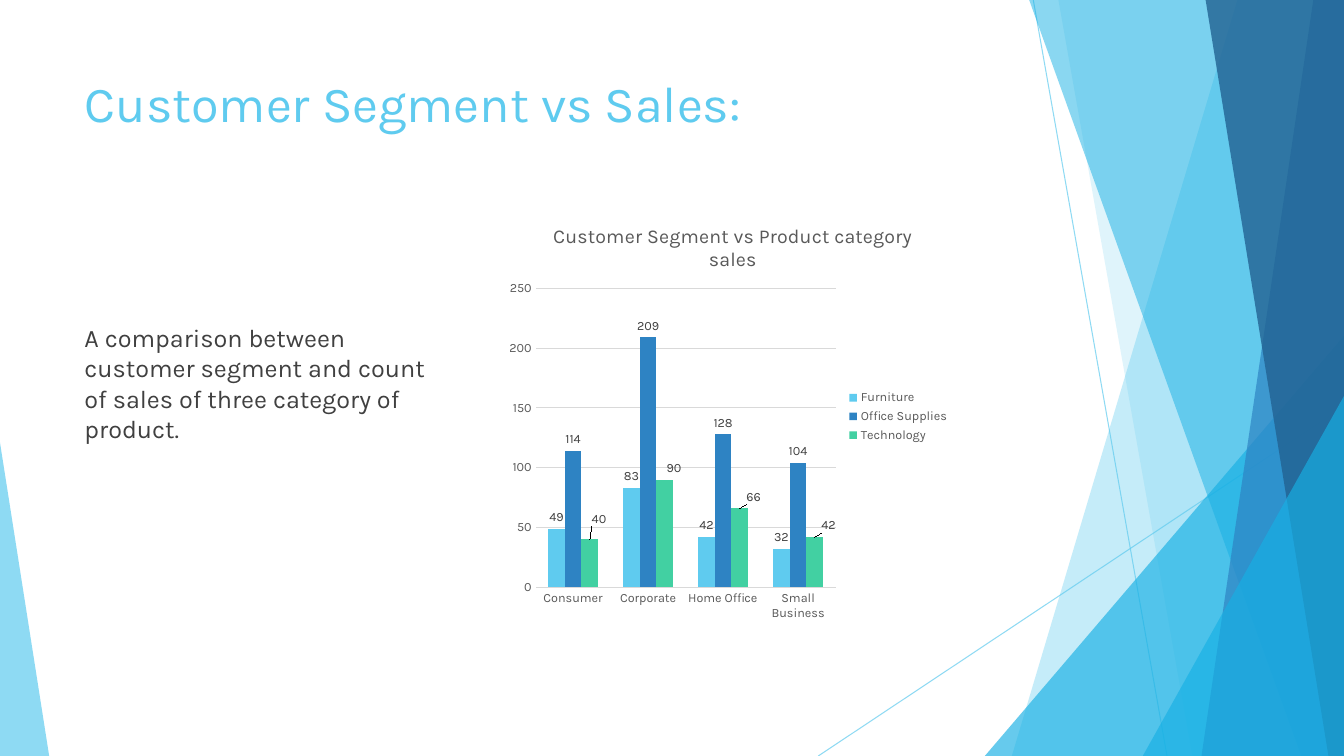
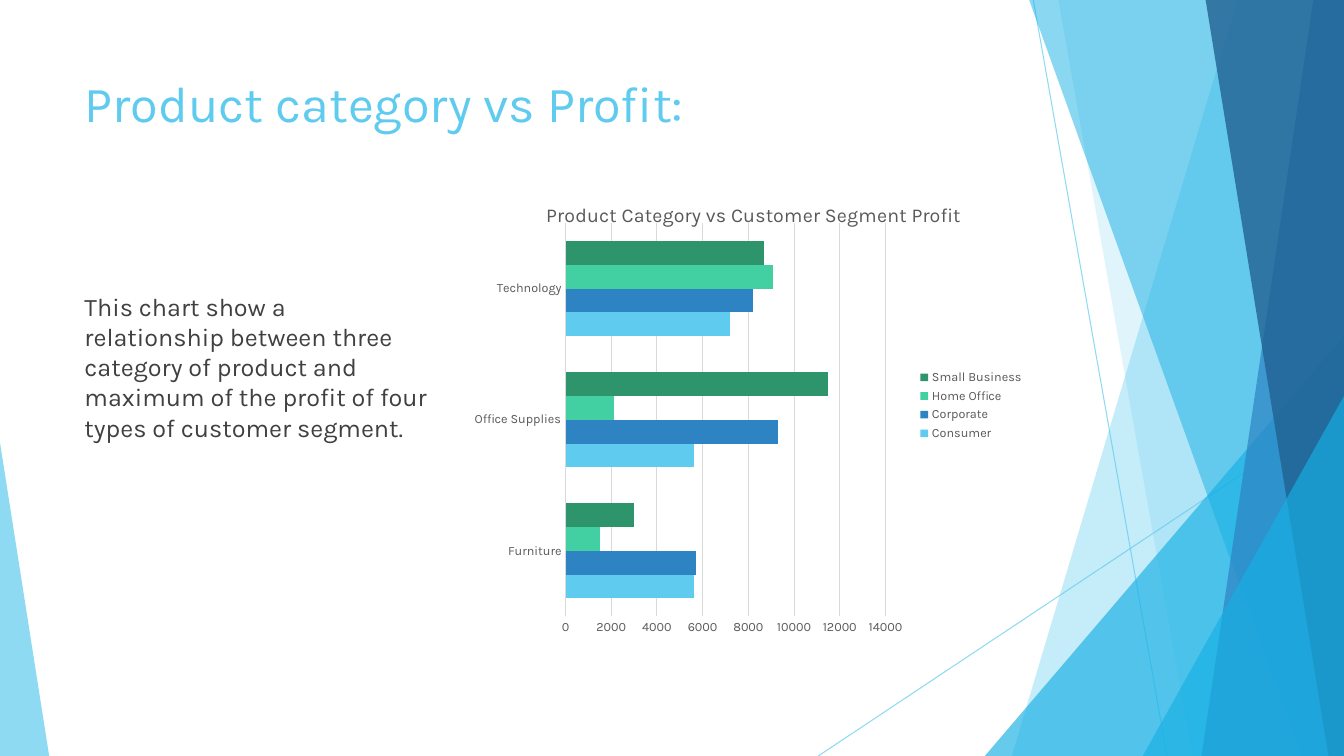
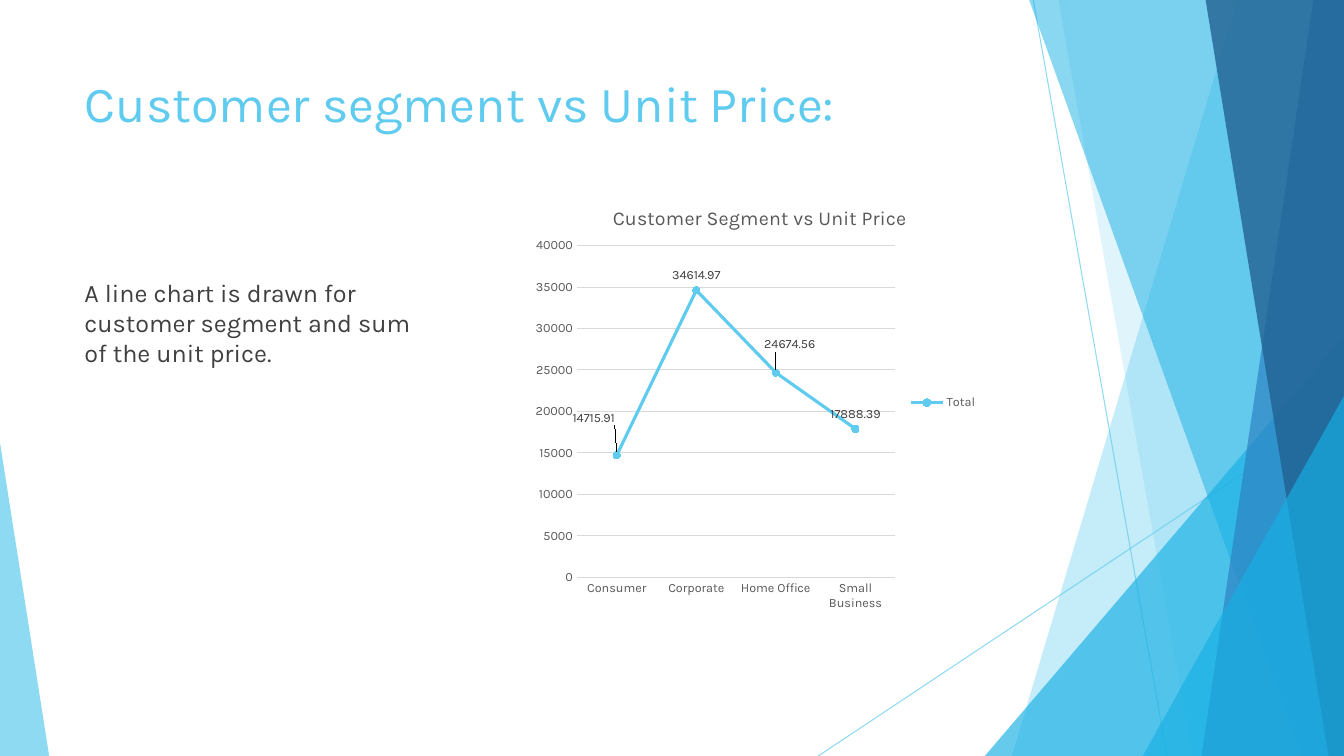
from lxml import etree
from pptx import Presentation
from pptx.chart.data import CategoryChartData
from pptx.dml.color import RGBColor
from pptx.enum.chart import XL_CHART_TYPE, XL_LABEL_POSITION, XL_LEGEND_POSITION
from pptx.enum.chart import XL_MARKER_STYLE, XL_TICK_MARK
from pptx.enum.shapes import MSO_CONNECTOR, MSO_SHAPE
from pptx.enum.text import MSO_ANCHOR, MSO_AUTO_SIZE, PP_ALIGN
from pptx.oxml.ns import qn
from pptx.util import Cm, Pt

COLUMN = XL_CHART_TYPE.COLUMN_CLUSTERED
BAR = XL_CHART_TYPE.BAR_CLUSTERED
LINE = XL_CHART_TYPE.LINE_MARKERS
OUTSIDE = XL_LABEL_POSITION.OUTSIDE_END
ABOVE = XL_LABEL_POSITION.ABOVE
LEGEND_RIGHT = XL_LEGEND_POSITION.RIGHT
CIRCLE = XL_MARKER_STYLE.CIRCLE
NO_TICK = XL_TICK_MARK.NONE
STRAIGHT = MSO_CONNECTOR.STRAIGHT
TRIANGLE = MSO_SHAPE.ISOSCELES_TRIANGLE
TOP = MSO_ANCHOR.TOP
NO_FIT = MSO_AUTO_SIZE.NONE
LEFT = PP_ALIGN.LEFT

FONT = "Karla"
SKY, BLUE, MINT, GREEN = "5FCBEF", "2E83C3", "42D0A2", "2E946B"
CYAN, NAVY = "17B0E4", "226292"
DARK, GREY, PALE = "404040", "595959", "D9D9D9"
PAGE_W, PAGE_H = 33.87, 19.05
TITLE_BOX = (1.88, 1.7, 23.88, 3.66)
SEGMENTS = ["Consumer", "Corporate", "Home Office", "Small Business"]


def rgb(value):
    return RGBColor.from_string(value)


def style_font(font, size, color):
    font.name = FONT
    font.size = Pt(size)
    font.color.rgb = rgb(color)


def write_text(frame, text, size=18, color=DARK, before=0):
    frame.word_wrap = True
    frame.auto_size = NO_FIT
    frame.vertical_anchor = TOP
    para = frame.paragraphs[0]
    para.alignment = LEFT
    para.space_before = Pt(before)
    span = para.add_run()
    span.text = text
    style_font(span.font, size, color)


def set_opacity(shape, percent):
    for color in shape.element.xpath(".//p:spPr//a:srgbClr"):
        etree.SubElement(color, qn("a:alpha")).set("val", str(percent * 1000))


def tint(shape, color, opacity):
    shape.shadow.inherit = False
    shape.fill.solid()
    shape.fill.fore_color.rgb = rgb(color)
    shape.line.fill.background()
    set_opacity(shape, opacity)


def add_ray(shapes, *ends):
    ray = shapes.add_connector(STRAIGHT, *[Cm(end) for end in ends])
    ray.line.color.rgb = rgb(SKY)
    ray.line.width = Pt(0.75)
    etree.SubElement(ray.element.spPr, qn("a:effectLst"))
    set_opacity(ray, 70)


def add_pane(shapes, top_x, bottom_x, color, opacity):
    outline = shapes.build_freeform(Cm(top_x), Cm(-0.02))
    corners = [(PAGE_W, -0.02), (PAGE_W, PAGE_H), (bottom_x, PAGE_H)]
    outline.add_line_segments([(Cm(x), Cm(y)) for x, y in corners])
    tint(outline.convert_to_shape(), color, opacity)


def add_wedge(shapes, left, top, width, apex, color, opacity):
    wedge = shapes.add_shape(TRIANGLE, Cm(left), Cm(top), Cm(width), Cm(PAGE_H - top))
    wedge.adjustments[0] = apex
    tint(wedge, color, opacity)


def draw_backdrop(shapes):
    add_ray(shapes, 26.04, 0, 29.41, PAGE_H)
    add_ray(shapes, PAGE_W, 10.24, 20.62, PAGE_H)
    add_pane(shapes, 31.19, 25.5, SKY, 36)
    add_pane(shapes, 26.67, 30.05, SKY, 20)
    add_wedge(shapes, 24.82, 8.46, 9.05, 1, CYAN, 66)
    add_pane(shapes, 25.93, 32.79, CYAN, 50)
    add_pane(shapes, 33.1, 30.28, BLUE, 70)
    add_pane(shapes, 30.38, 33.48, NAVY, 80)
    add_wedge(shapes, 28.8, 9.98, 5.07, 1, CYAN, 66)
    add_wedge(shapes, 0, 11.15, 1.24, 0, SKY, 70)


def prepare_layout(layout, page):
    for holder in list(layout.placeholders)[1:]:
        layout.shapes.element.remove(holder.element)
    backdrop = page.shapes.add_group_shape()
    draw_backdrop(backdrop.shapes)
    layout.shapes.element.append(backdrop.element)


def set_layout(parent, index, **values):
    for old in parent.findall(qn("c:layout")):
        parent.remove(old)
    layout = etree.Element(qn("c:layout"))
    manual = etree.SubElement(layout, qn("c:manualLayout"))
    for name, value in values.items():
        etree.SubElement(manual, qn("c:" + name)).set("val", str(value))
    parent.insert(index, layout)


def style_axes(chart, maximum, step, base_line):
    for axis in (chart.category_axis, chart.value_axis):
        axis.major_tick_mark = axis.minor_tick_mark = NO_TICK
        style_font(axis.tick_labels.font, 9, GREY)
        axis.format.line.fill.background()
    if base_line:
        chart.category_axis.format.line.color.rgb = rgb(PALE)
        chart.category_axis.format.line.width = Pt(0.75)
    axis = chart.value_axis
    axis.minimum_scale, axis.maximum_scale, axis.major_unit = 0, maximum, step
    axis.has_major_gridlines = True
    axis.major_gridlines.format.line.color.rgb = rgb(PALE)
    axis.major_gridlines.format.line.width = Pt(0.75)


def style_series(series, color, is_line):
    if not is_line:
        series.format.fill.solid()
        series.format.fill.fore_color.rgb = rgb(color)
        return
    series.smooth = False
    series.format.line.color.rgb = rgb(color)
    series.format.line.width = Pt(2.25)
    marker = series.marker
    marker.style, marker.size = CIRCLE, 5
    marker.format.fill.solid()
    marker.format.fill.fore_color.rgb = rgb(color)
    marker.format.line.color.rgb = rgb(color)


def add_labels(chart, position, shifts):
    for series in chart.plots[0].series:
        labels = series.data_labels
        labels.show_value = True
        labels.position = position
        style_font(labels.font, 9, DARK)
    for point, (x, y) in shifts.items():
        label = series.points[point].data_label
        label.position = position
        style_font(label.font, 9, DARK)
        mark = chart.element.xpath(f".//c:dLbl[c:idx/@val='{point}']")[0]
        set_layout(mark, 1, x=x, y=y)


def add_graph(page, box, kind, title, cats, rows, title_at, plot_at, scale,
              label_position=None, label_shifts=None):
    data = CategoryChartData()
    data.categories = cats
    for name, values, _ in rows:
        data.add_series(name, values)
    chart = page.shapes.add_chart(kind, *[Cm(side) for side in box], data).chart
    style_font(chart.font, 10, "000000")

    chart.has_title = True
    span = chart.chart_title.text_frame.paragraphs[0].add_run()
    span.text = title
    style_font(span.font, 14, GREY)
    span.font.bold = False
    x, y = title_at
    set_layout(chart.element.xpath("c:chart/c:title")[0], 1,
               xMode="edge", yMode="edge", x=x, y=y)
    x, y, w, h = plot_at
    set_layout(chart.element.xpath("c:chart/c:plotArea")[0], 0, layoutTarget="inner",
               xMode="edge", yMode="edge", x=x, y=y, w=w, h=h)

    chart.has_legend = True
    chart.legend.position = LEGEND_RIGHT
    chart.legend.include_in_layout = False
    style_font(chart.legend.font, 9, GREY)

    is_line = kind == LINE
    style_axes(chart, *scale, base_line=is_line)
    plot = chart.plots[0]
    plot.vary_by_categories = False
    if not is_line:
        plot.gap_width, plot.overlap = 150, 0
    for series, (_, _, color) in zip(plot.series, rows):
        style_series(series, color, is_line)
    if label_position is not None:
        add_labels(chart, label_position, label_shifts)


def fill_page(page, title, note, note_box, graph):
    holder = page.shapes.title
    holder.left, holder.top, holder.width, holder.height = [Cm(side) for side in TITLE_BOX]
    write_text(holder.text_frame, title, size=36, color=SKY)
    box = page.shapes.add_textbox(*[Cm(side) for side in note_box])
    write_text(box.text_frame, note, before=10)
    add_graph(page, **graph)


PAGES = [
    dict(
        title="Customer Segment vs Sales:",
        note="A comparison between customer segment and count of sales of three "
             "category of product.",
        note_box=(1.88, 8, 9.14, 8.79),
        graph=dict(
            box=(12.57, 5.11, 11.63, 10.77), kind=COLUMN,
            title="Customer Segment vs Product category sales", cats=SEGMENTS,
            rows=[("Furniture", [49, 83, 42, 32], SKY),
                  ("Office Supplies", [114, 209, 128, 104], BLUE),
                  ("Technology", [40, 90, 66, 42], MINT)],
            title_at=(0.11, 0.04), plot_at=(0.08, 0.2, 0.65, 0.7), scale=(250, 50),
            label_position=OUTSIDE,
            label_shifts={0: (0.02, -0.02), 1: (0.02, 0), 2: (0.03, 0), 3: (0.03, 0)},
        ),
    ),
    dict(
        title="Product category vs Profit:",
        note="This chart show a relationship between three category of product and "
             "maximum of the profit of four types of customer segment.",
        note_box=(1.88, 7.21, 9.19, 9.58),
        graph=dict(
            box=(11.66, 4.17, 14.4, 12.09), kind=BAR,
            title="Product Category vs Customer Segment Profit",
            cats=["Furniture", "Office Supplies", "Technology"],
            rows=[("Consumer", [5600, 5600, 7200], SKY),
                  ("Corporate", [5700, 9300, 8200], BLUE),
                  ("Home Office", [1500, 2100, 9100], MINT),
                  ("Small Business", [3000, 11500, 8700], GREEN)],
            title_at=(0.14, 0.07), plot_at=(0.18, 0.12, 0.56, 0.82), scale=(14000, 2000),
        ),
    ),
    dict(
        title="Customer segment vs Unit Price:",
        note="A line chart is drawn for customer segment and sum of the unit price.",
        note_box=(1.88, 6.86, 8.84, 9.93),
        graph=dict(
            box=(13.26, 4.65, 11.63, 11), kind=LINE,
            title="Customer Segment vs Unit Price", cats=SEGMENTS,
            rows=[("Total", [14715.91, 34614.97, 24674.56, 17888.39], SKY)],
            title_at=(0.18, 0.04), plot_at=(0.11, 0.14, 0.69, 0.76), scale=(40000, 5000),
            label_position=ABOVE,
            label_shifts={0: (-0.05, -0.05), 2: (0.03, -0.03)},
        ),
    ),
]


def main():
    deck = Presentation()
    deck.slide_width, deck.slide_height = Cm(PAGE_W), Cm(PAGE_H)
    layout = deck.slide_layouts[5]
    pages = [deck.slides.add_slide(layout) for _ in PAGES]
    prepare_layout(layout, pages[0])
    for page, content in zip(pages, PAGES):
        fill_page(page, **content)
    deck.save("out.pptx")


if __name__ == "__main__":
    main()
